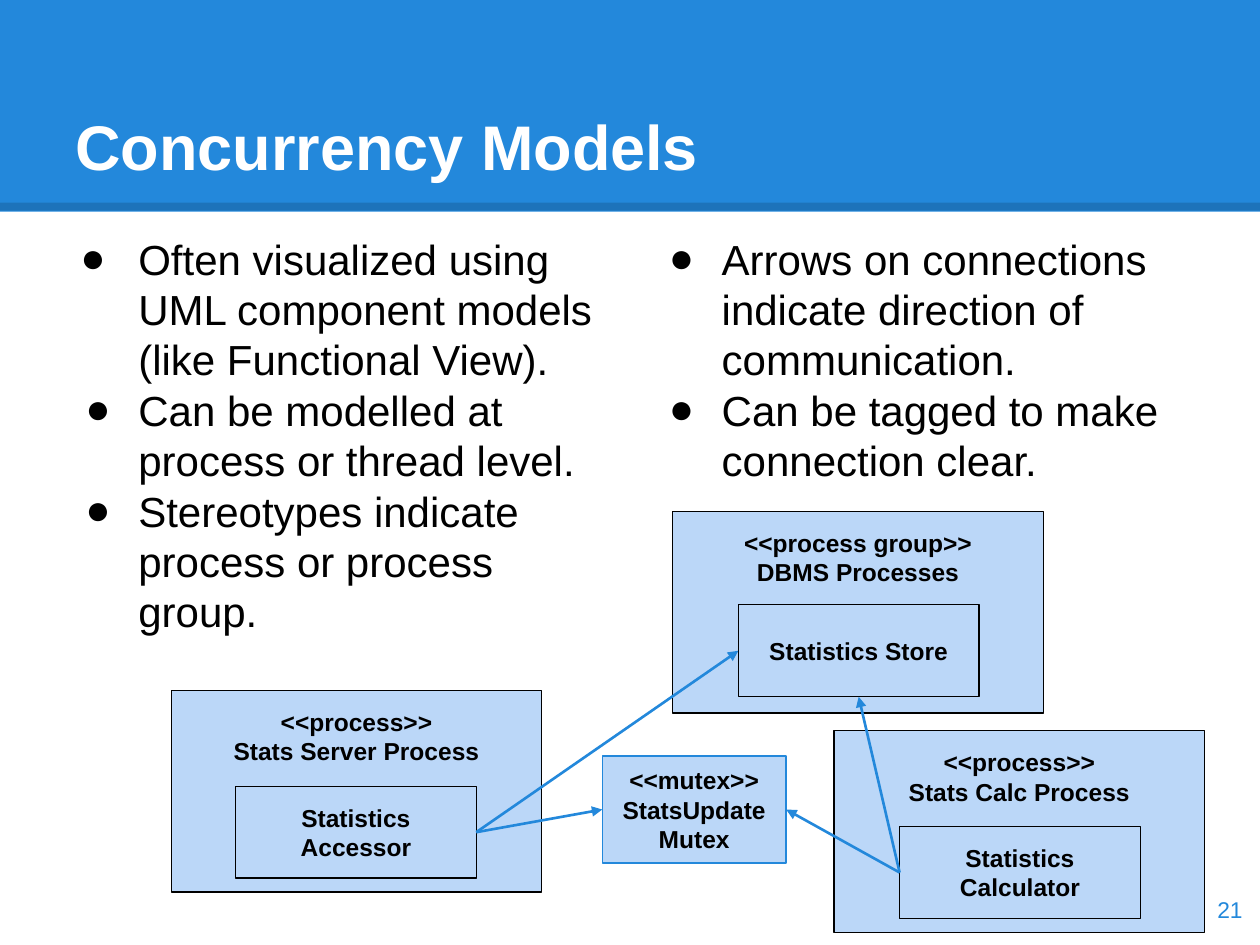
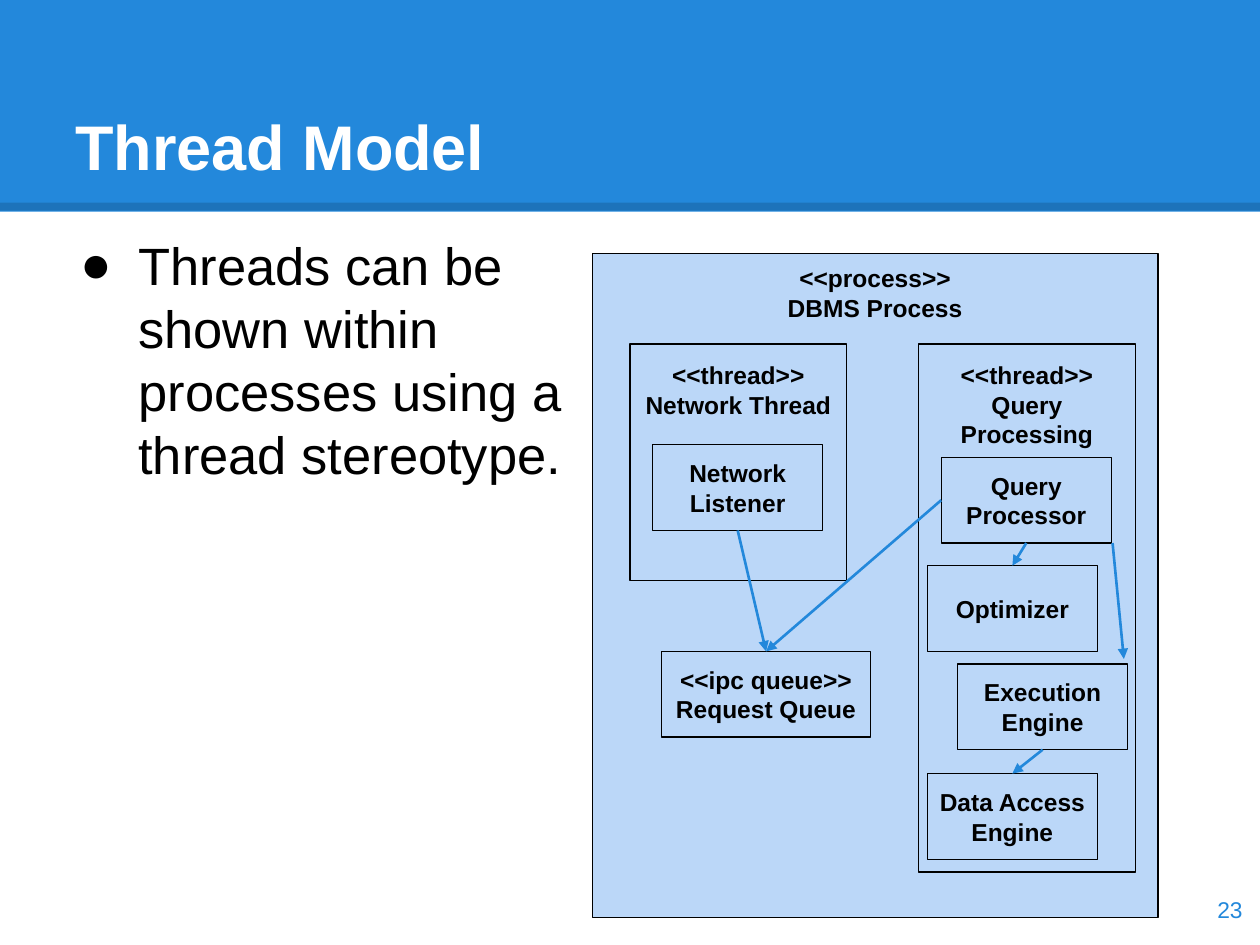
from lxml import etree
from pptx import Presentation
from pptx.dml.color import RGBColor
from pptx.enum.shapes import MSO_CONNECTOR, MSO_SHAPE
from pptx.enum.text import MSO_ANCHOR, PP_ALIGN
from pptx.oxml.ns import qn
from pptx.util import Inches, Pt

BLUE = RGBColor(0x23, 0x88, 0xDB)
PALE = RGBColor(0xBB, 0xD7, 0xF8)
BLACK = RGBColor(0, 0, 0)
WHITE = RGBColor(255, 255, 255)
FONT = "Arial"

LEFT, CENTER, RIGHT = PP_ALIGN.LEFT, PP_ALIGN.CENTER, PP_ALIGN.RIGHT
TOP, MIDDLE, BOTTOM = MSO_ANCHOR.TOP, MSO_ANCHOR.MIDDLE, MSO_ANCHOR.BOTTOM
RECT, STRAIGHT = MSO_SHAPE.RECTANGLE, MSO_CONNECTOR.STRAIGHT
SITES = {"top": 0, "left": 1, "bottom": 2, "right": 3}

# Sizes shared by boxes of the same role: width, height
PROCESS = (2.94, 1.6)
COMPONENT = (1.91, 0.73)
PART = (1.35, 0.68)

# Content: a box is name: (left, top, size, lines, extra format);
# an arrow joins (box, side) to (box, side), or two plain points
GROUP = {"anchor": TOP, "top": 0.13}
SLIDES = [
    {
        "title": "Concurrency Models",
        "number": "21",
        "size": 24,
        "bullets": [
            (0.5, 2.47, [
                "Often visualized using UML component models (like Functional View).",
                "Can be modelled at process or thread level.",
                "Stereotypes indicate process or process group."], 0.46),
            (5.13, 2.31, [
                "Arrows on connections indicate direction of communication.",
                "Can be tagged to make connection clear."], 0.42),
        ],
        "boxes": {
            "server": (1.36, 5.48, PROCESS, ["<<process>>", "Stats Server Process"], GROUP),
            "accessor": (1.87, 6.24, COMPONENT, ["Statistics Accessor"], {}),
            "dbms": (5.34, 4.06, PROCESS, ["<<process group>>", "DBMS Processes"], GROUP),
            "store": (5.86, 4.8, COMPONENT, ["Statistics Store"], {}),
            "mutex": (4.78, 6, (1.46, 0.85), ["<<mutex>>", "StatsUpdateMutex"], {"line": BLUE}),
            "calc": (6.62, 5.8, PROCESS, ["<<process>>", "Stats Calc Process"], GROUP),
            "calculator": (7.14, 6.56, COMPONENT, ["Statistics Calculator"], {}),
        },
        "arrows": [
            (("accessor", "right"), ("mutex", "left")),
            (("calculator", "left"), ("mutex", "right")),
            (("accessor", "right"), ("store", "left")),
            (("calculator", "left"), ("store", "bottom")),
        ],
    },
    {
        "title": "Thread Model",
        "number": "23",
        "size": 30,
        "bullets": [
            (0.5, 5.43, ["Threads can be shown within processes using a thread stereotype."], 0.46),
        ],
        "boxes": {
            "process": (4.7, 2.01, (4.49, 5.27), ["<<process>>", "DBMS Process"],
                        {"anchor": TOP, "top": 0.08}),
            "network": (5, 2.73, (1.72, 1.88), ["<<thread>>", "Network Thread"], GROUP),
            "listener": (5.18, 3.53, PART, ["Network Listener"], {}),
            "query": (7.29, 2.73, (1.72, 4.19), ["<<thread>>", "Query Processing"], GROUP),
            "processor": (7.47, 3.63, PART, ["Query Processor"], {}),
            "optimizer": (7.36, 4.49, PART, ["Optimizer"], {}),
            "execution": (7.6, 5.27, PART, ["Execution Engine"], {}),
            "data": (7.36, 6.14, PART, ["Data Access Engine"], {}),
            "queue": (5.25, 5.17, (1.66, 0.68), ["<<ipc queue>>", "Request Queue"], {}),
        },
        "arrows": [
            (("execution", "bottom"), ("data", "top")),
            (("processor", "bottom"), ("optimizer", "top")),
            ((8.83, 4.31), (8.92, 5.23)),
            (("listener", "bottom"), ("queue", "top")),
            (("processor", "left"), ("queue", "top")),
        ],
    },
]


def write(sp, lines, size, color=BLACK, bold=False, align=LEFT, anchor=TOP,
          side=0.1, top=0.1, first_hang=None):
    """Fill a shape with paragraphs; first_hang turns them into bullets."""
    tf = sp.text_frame
    tf.word_wrap = True
    tf.vertical_anchor = anchor
    tf.margin_left = tf.margin_right = Inches(side)
    tf.margin_top, tf.margin_bottom = Inches(top), Inches(0.1)
    for i, line in enumerate(lines):
        p = tf.paragraphs[0] if i == 0 else tf.add_paragraph()
        p.alignment = align
        if first_hang:
            add_bullet(p, 0.42 if i else first_hang)
        r = p.add_run()
        r.text = line
        r.font.name, r.font.size, r.font.bold = FONT, Pt(size), bold
        r.font.color.rgb = color


def add_bullet(p, hang):
    pPr = p._p.get_or_add_pPr()
    pPr.set("marL", str(Inches(0.5)))
    pPr.set("indent", str(-Inches(hang)))
    clr = etree.SubElement(pPr, qn("a:buClr"))
    etree.SubElement(clr, qn("a:srgbClr"), val=str(BLACK))
    etree.SubElement(pPr, qn("a:buFont"), typeface=FONT)
    etree.SubElement(pPr, qn("a:buChar"), char="●")


def add_text(s, left, top, width, height, lines, size, **fmt):
    sp = s.shapes.add_textbox(Inches(left), Inches(top), Inches(width), Inches(height))
    write(sp, lines, size, **fmt)


def add_rect(s, left, top, width, height, fill, line=None):
    sp = s.shapes.add_shape(RECT, Inches(left), Inches(top), Inches(width), Inches(height))
    sp.shadow.inherit = False
    sp.fill.solid()
    sp.fill.fore_color.rgb = fill
    if line is None:
        sp.line.fill.background()
    else:
        sp.line.color.rgb = line
        sp.line.width = Pt(0.75)
    return sp


def add_line(s, start, end, color, width):
    cx = s.shapes.add_connector(STRAIGHT, *(Inches(v) for v in (*start, *end)))
    cx.line.color.rgb = color
    cx.line.width = Pt(width)
    etree.SubElement(cx._element.spPr, qn("a:effectLst"))
    return cx


def add_arrow(s, shapes, start, end):
    if start[0] in shapes:
        cx = add_line(s, (0, 0), (1, 1), BLUE, 1.5)
        cx.begin_connect(shapes[start[0]], SITES[start[1]])
        cx.end_connect(shapes[end[0]], SITES[end[1]])
    else:
        cx = add_line(s, start, end, BLUE, 1.5)
    etree.SubElement(cx.line._get_or_add_ln(), qn("a:tailEnd"), type="triangle")


def add_frame(s, title, number):
    """Title band with its translucent lower edge, title and slide number."""
    add_rect(s, 0, 0, 10, 1.68, BLUE)
    edge = add_line(s, (0, 1.64), (10, 1.64), BLACK, 4.5)
    clr = edge.line._get_or_add_ln().find(".//" + qn("a:srgbClr"))
    etree.SubElement(clr, qn("a:alpha"), val="15000")
    add_text(s, 0.5, 0.3, 9, 1.25, [title], 36, color=WHITE, bold=True, anchor=BOTTOM)
    add_text(s, 9.36, 6.93, 0.6, 0.57, [number], 13, color=BLUE, align=RIGHT, anchor=MIDDLE)


def main():
    prs = Presentation()
    prs.slide_width, prs.slide_height = Inches(10), Inches(7.5)
    for page in SLIDES:
        s = prs.slides.add_slide(prs.slide_layouts[6])
        add_frame(s, page["title"], page["number"])
        for left, height, items, hang in page["bullets"]:
            add_text(s, left, 1.75, 4.37, height, items, page["size"], first_hang=hang)
        shapes = {}
        for name, (left, top, size, lines, extra) in page["boxes"].items():
            fmt = {"anchor": MIDDLE, "line": BLACK, **extra}
            sp = add_rect(s, left, top, *size, PALE, fmt.pop("line"))
            write(sp, lines, 14, bold=True, align=CENTER, side=0.09, **fmt)
            shapes[name] = sp
        for start, end in page["arrows"]:
            add_arrow(s, shapes, start, end)
    prs.save("out.pptx")


if __name__ == "__main__":
    main()
